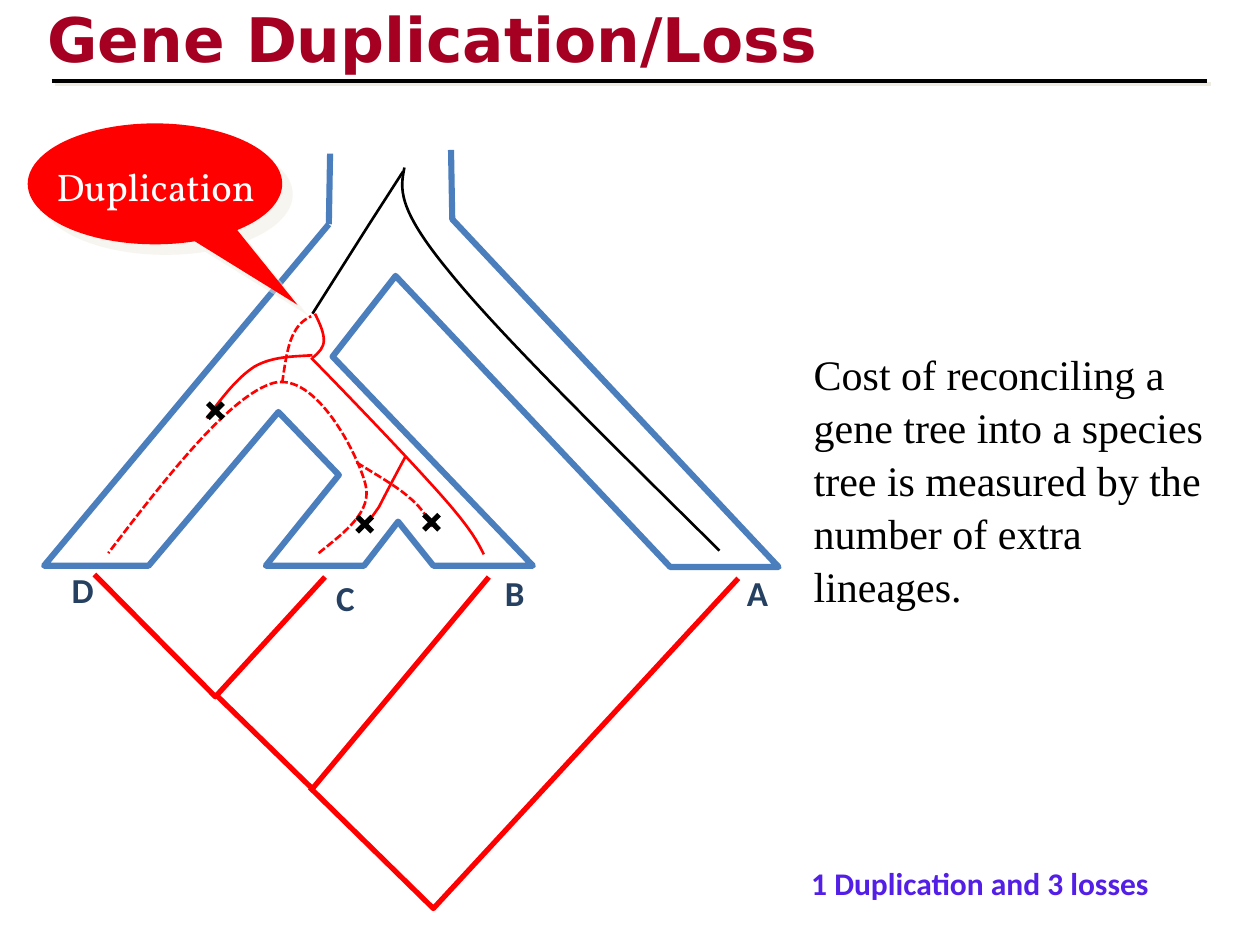
from dataclasses import dataclass

from lxml.etree import SubElement
from pptx import Presentation
from pptx.dml.color import RGBColor
from pptx.enum.dml import MSO_LINE
from pptx.enum.shapes import MSO_CONNECTOR, MSO_SHAPE
from pptx.enum.text import MSO_ANCHOR, PP_ALIGN
from pptx.oxml.ns import qn
from pptx.util import Inches, Pt

COLUMNS = 100
WIDTH, HEIGHT = Inches(10), Inches(7.5)


@dataclass(frozen=True)
class Theme:
    species: str = "4B7EBC"
    gene: str = "FF0000"
    ink: str = "000000"
    label: str = "254061"
    title: str = "A50021"
    summary: str = "531FE7"
    light: str = "FFFFFF"
    shadow: str = "EEECE1"
    sans: str = "Calibri"
    serif: str = "Times New Roman"
    display: str = "DejaVu Sans"
    callout: str = "Vollkorn"
    title_size: float = 35.1
    body_size: float = 24
    callout_size: float = 22
    label_size: float = 20
    summary_size: float = 18


THEME = Theme()

SPECIES_TREE = [
    [(26.1, 17.8), (3.5, 44.9), (11.8, 44.9), (22.1, 32.7), (26.9, 37.7),
     (21.1, 44.9), (28.9, 44.9), (31.6, 41.4), (34.4, 44.9), (42.3, 44.9),
     (26.4, 28.3), (31.4, 21.9), (53.2, 45), (61.8, 45), (35.9, 17.4), (35.8, 11.9)],
    [(26.1, 17.8), (26.2, 12.2)],
]
GENE_TREE = [
    [(7.5, 45.6), (17.1, 55.3), (25.8, 45.8)],
    [(17.1, 55.1), (24.8, 62.6), (38.8, 45.8)],
    [(24.6, 62.5), (34.4, 72.1), (58.6, 45.9)],
]
LEAVES = {"D": (4.7, 44.6), "C": (25.7, 45.3), "B": (39.1, 44.9), "A": (58.3, 44.9)}
COPY_LINEAGES = [
    [(25.3, 43.9), (27.4, 42.2), (29.6, 40.6), (29, 38.4), (28.4, 36.1), (25.1, 29.5),
     (21.7, 30.4), (18.3, 31.4), (13.4, 37.6), (8.6, 43.9)],
    [(28.3, 36.7), (29.9, 37.7), (31.5, 38.6), (32.5, 39.5),
     (33.5, 40.3), (33.9, 41.1), (34.3, 41.8)],
    [(22.4, 30.4), (22.6, 29), (22.8, 27.6), (23.2, 26.7),
     (23.6, 25.8), (24.1, 25.4), (24.7, 25.1)],
]
KEPT_LINEAGES = [
    [(24.8, 28.2), (23.2, 28.3), (21.6, 28.3), (20.2, 29.1),
     (18.8, 30), (17.6, 31.6), (16.4, 33.2)],
    [(24.7, 28.4), (28.8, 32.6), (32.8, 36.8), (35.1, 39.4),
     (37.4, 42), (37.9, 43), (38.4, 44)],
    [(24.8, 28.4), (25.3, 28), (25.7, 27.6), (25.7, 27),
     (25.7, 26.4), (25.4, 25.7), (25, 24.9)],
    [(32.2, 36.2), (31.4, 37.7), (30.6, 39.2), (30.1, 40.2),
     (29.5, 41.1), (29.2, 41.4), (28.9, 41.7)],
]
ROOT_LINEAGE = [(57.1, 43.7), (48.4, 35.1), (39.7, 26.6), (35.6, 21.5),
                (31.4, 16.4), (31.8, 14.9), (32.1, 13.3)]
ROOT_BRANCH = [(24.8, 24.9), (29.3, 17.8), (32, 13.6)]
LOSSES = [(34.25, 41.45), (17.1, 32.6), (28.95, 41.6)]


def grid(*cells):
    return [round(cell * WIDTH / COLUMNS) for cell in cells]


def set_line(line, color, width, dashed=False):
    line.color.rgb = RGBColor.from_string(color)
    line.width = Pt(width)
    if dashed:
        line.dash_style = MSO_LINE.SQUARE_DOT


def set_effects(properties, distance=0, opacity=100):
    effects = SubElement(properties, qn("a:effectLst"))
    if distance:
        shadow = SubElement(effects, qn("a:outerShdw"), dist=str(Pt(distance)),
                            dir="2700000", algn="ctr", rotWithShape="0")
        color = SubElement(shadow, qn("a:srgbClr"), val=THEME.shadow)
        SubElement(color, qn("a:alpha"), val=str(opacity * 1000))


def add_outline(shapes, points, color, width, dashed=False, curved=False):
    start, *rest = [grid(*point) for point in points]
    builder = shapes.build_freeform(*start)
    builder.add_line_segments(rest, close=False)
    outline = builder.convert_to_shape()
    outline.fill.background()
    set_line(outline.line, color, width, dashed)
    SubElement(outline.line._get_or_add_ln(), qn("a:round"))
    set_effects(outline._element.spPr)
    if curved:
        bend_segments(outline)
    return outline


def bend_segments(outline):
    segments = list(outline._element.iter(qn("a:lnTo")))
    for first in range(0, len(segments), 3):
        triple = segments[first:first + 3]
        parent = triple[0].getparent()
        curve = SubElement(parent, qn("a:cubicBezTo"))
        for segment in triple:
            curve.append(segment[0])
            parent.remove(segment)


def add_straight(shapes, start, end, width, distance=0):
    line = shapes.add_connector(MSO_CONNECTOR.STRAIGHT, *grid(*start, *end))
    set_line(line.line, THEME.ink, width)
    set_effects(line._element.spPr, distance)


def add_tree(page, branches, color, width):
    tree = page.shapes.add_group_shape()
    for branch in branches:
        add_outline(tree.shapes, branch, color, width)


def add_cross(page, center, half=0.6):
    x, y = center
    cross = page.shapes.add_group_shape()
    for rise in (half, -half):
        add_straight(cross.shapes, (x - half, y - rise), (x + half, y + rise), 3)


def add_text(shapes, text, place, *, font, size, color, bold=False, align=PP_ALIGN.LEFT,
             anchor=MSO_ANCHOR.TOP, spacing=1.0, distance=0):
    box = shapes.add_textbox(*grid(*place))
    box.text_frame.word_wrap = True
    box.text_frame.vertical_anchor = anchor
    para = box.text_frame.paragraphs[0]
    para.alignment = align
    para.line_spacing = spacing
    span = para.add_run()
    span.text = text
    span.font.size = Pt(size)
    span.font.bold = bold
    span.font.color.rgb = RGBColor.from_string(color)
    if distance:
        set_effects(span.font._element, distance)
    span.font.name = font


def add_callout(page, text):
    group = page.shapes.add_group_shape()
    bubble = group.shapes.add_shape(MSO_SHAPE.OVAL_CALLOUT, *grid(2.2, 9.8, 20.2, 9.6))
    bubble.adjustments[0], bubble.adjustments[1] = 0.56, 1.0
    bubble.fill.solid()
    bubble.fill.fore_color.rgb = RGBColor.from_string(THEME.gene)
    bubble.line.fill.background()
    set_effects(bubble._element.spPr, 8.5, 50)
    add_text(group.shapes, text, (3.1, 12.5, 18.5, 4.6), font=THEME.callout,
             size=THEME.callout_size, color=THEME.light, align=PP_ALIGN.CENTER,
             anchor=MSO_ANCHOR.MIDDLE)


def main():
    deck = Presentation()
    deck.slide_width, deck.slide_height = WIDTH, HEIGHT
    page = deck.slides.add_slide(deck.slide_layouts[6])
    shapes = page.shapes

    add_tree(page, SPECIES_TREE, THEME.species, 3.5)
    add_tree(page, GENE_TREE, THEME.gene, 3)
    for name, corner in LEAVES.items():
        add_text(shapes, name, (*corner, 3.4, 4.4), font=THEME.sans,
                 size=THEME.label_size, color=THEME.label, bold=True)
    for lineage in COPY_LINEAGES:
        add_outline(shapes, lineage, THEME.gene, 1.5, dashed=True, curved=True)
    for lineage in KEPT_LINEAGES:
        add_outline(shapes, lineage, THEME.gene, 1.5, curved=True)
    add_outline(shapes, ROOT_LINEAGE, THEME.ink, 1.5, curved=True)
    add_outline(shapes, ROOT_BRANCH, THEME.ink, 1.5)
    for center in LOSSES:
        add_cross(page, center)

    add_callout(page, "Duplication")
    add_text(shapes, "1 Duplication and 3 losses", (63.4, 68.1, 29.7, 4),
             font=THEME.sans, size=THEME.summary_size, color=THEME.summary, bold=True)
    add_text(shapes, "Gene Duplication/Loss", (2.8, -0.3, 85, 6.7), font=THEME.display,
             size=THEME.title_size, color=THEME.title, bold=True,
             anchor=MSO_ANCHOR.MIDDLE, distance=2.8)
    add_straight(shapes, (4.1, 6.4), (95.8, 6.4), 2.25, distance=2.8)
    add_text(shapes, "Cost of reconciling a gene tree into a species tree is measured "
             "by the number of extra lineages.", (63.6, 27, 34.3, 21.2),
             font=THEME.serif, size=THEME.body_size, color=THEME.ink, spacing=1.05)
    deck.save("out.pptx")


if __name__ == "__main__":
    main()
